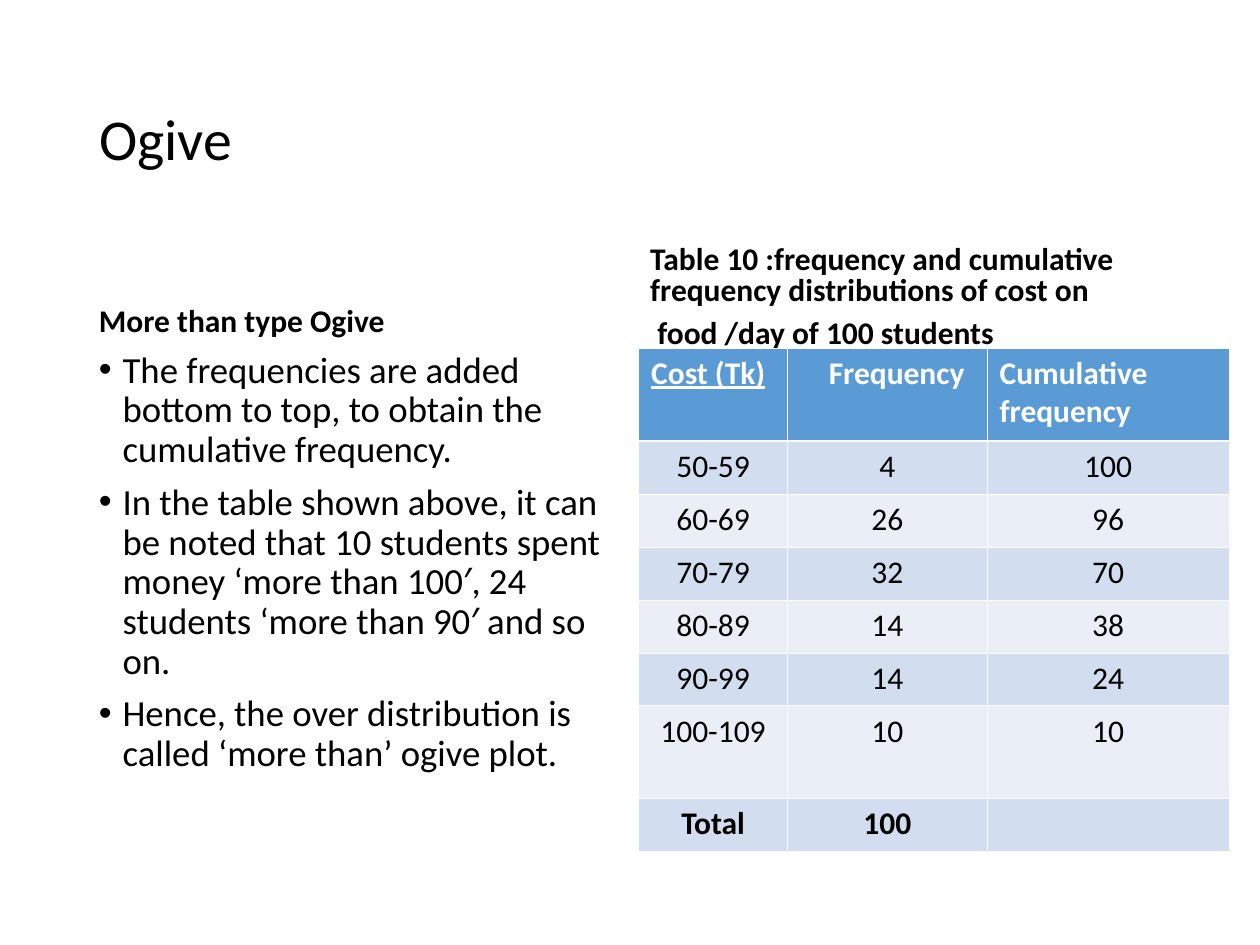
"""Build the slide on the more-than type ogive with its frequency table."""
from collections import namedtuple
from lxml.etree import SubElement
from pptx import Presentation
from pptx.dml.color import RGBColor as RGB
from pptx.enum.text import MSO_ANCHOR as Anchor, MSO_AUTO_SIZE as AutoSize, PP_ALIGN as Align
from pptx.oxml.ns import qn
from pptx.util import Pt

Theme = namedtuple("Theme", "font ink white header band light title body label")
theme = Theme("Calibri", RGB(0, 0, 0), RGB(255, 255, 255), RGB(0x5B, 0x9B, 0xD5),
              RGB(0xD2, 0xDE, 0xEF), RGB(0xEA, 0xEF, 0xF7), Pt(33), Pt(21), Pt(18))


def style(paragraph, size, bold=False, color=theme.ink):
    font = paragraph.font
    font.name, font.size, font.bold = theme.font, size, bold
    font.color.rgb = color


def add_text(lines, box, size, anchor, bold, spacing, bulleted):
    frame = slide.shapes.add_textbox(*map(Pt, box)).text_frame
    frame.word_wrap = True
    frame.auto_size = AutoSize.NONE
    frame.vertical_anchor = anchor
    frame.text = "\n".join(lines)
    for paragraph in frame.paragraphs:
        paragraph.line_spacing = spacing
        paragraph.space_before = Pt(7.5)
        style(paragraph, size, bold)
        if bulleted:
            props = paragraph._p.get_or_add_pPr()
            props.set("marL", str(Pt(13.5)))
            props.set("indent", str(Pt(-13.5)))
            bullet_font = props.makeelement(qn("a:buFont"), {"typeface": "Arial"})
            bullet = props.makeelement(qn("a:buChar"), {"char": "•"})
            defaults = props.find(qn("a:defRPr"))
            defaults.addprevious(bullet_font)
            defaults.addprevious(bullet)


presentation = Presentation()
presentation.slide_width, presentation.slide_height = Pt(720), Pt(540)
slide = presentation.slides.add_slide(presentation.slide_layouts[5])

title = slide.shapes.title
title.left, title.top, title.width, title.height = map(Pt, (49.5, 28.75, 621, 104.4))
title.text_frame.text = "Ogive"
title.text_frame.auto_size = AutoSize.NONE
title.text_frame.vertical_anchor = Anchor.MIDDLE
heading = title.text_frame.paragraphs[0]
heading.alignment = Align.LEFT
heading.line_spacing = 0.9
style(heading, theme.title)

explanation = [
    "The frequencies are added bottom to top, to obtain the cumulative frequency.",
    "In the table shown above, it can be noted that 10 students spent money "
    "‘more than 100′, 24 students ‘more than 90′ and so on.",
    "Hence, the over distribution is called ‘more than’ ogive plot.",
]
caption = [
    "Table 10 :frequency and cumulative frequency distributions of cost on",
    " food /day of 100 students",
]
add_text(["More than type Ogive"], (49.5, 132.5, 304.6, 64.8), theme.label,
         Anchor.BOTTOM, True, 0.9, False)
add_text(explanation, (49.5, 197.3, 304.6, 290.2), theme.body, Anchor.TOP, False, 0.9, True)
add_text(caption, (364.5, 135.4, 316, 68.4), theme.label, Anchor.BOTTOM, True, 0.8, False)

rows = [
    ("Cost (Tk)", "Frequency", "Cumulative frequency"),
    ("50-59", "4", "100"),
    ("60-69", "26", "96"),
    ("70-79", "32", "70"),
    ("80-89", "14", "38"),
    ("90-99", "14", "24"),
    ("100-109", "10", "10"),
    ("Total", "100", ""),
]
column_widths = [85.2, 114, 138.4]
row_heights = [53, 30.3, 30.3, 30.3, 30.3, 30.3, 53, 30.3]
frequencies = slide.shapes.add_table(
    len(rows), len(column_widths), Pt(364.9), Pt(199),
    Pt(sum(column_widths)), Pt(sum(row_heights))).table
for column, width in zip(frequencies.columns, column_widths):
    column.width = Pt(width)
for row, height in zip(frequencies.rows, row_heights):
    row.height = Pt(height)

for r, values in enumerate(rows):
    is_header = r == 0
    for c, value in enumerate(values):
        cell = frequencies.cell(r, c)
        cell.text = value
        entry = cell.text_frame.paragraphs[0]
        entry.alignment = Align.LEFT if is_header else Align.CENTER
        style(entry, theme.label, is_header or r == len(rows) - 1,
              theme.white if is_header else theme.ink)
        cell_props = cell._tc.get_or_add_tcPr()
        for side in ("lnL", "lnR", "lnT", "lnB"):
            under_header = (r, side) in ((0, "lnB"), (1, "lnT"))
            border = SubElement(cell_props, qn("a:" + side),
                                w=str(Pt(1.47 if under_header else 0.45)))
            border_fill = SubElement(border, qn("a:solidFill"))
            SubElement(border_fill, qn("a:srgbClr"), val=str(theme.white))
        cell.fill.solid()
        cell.fill.fore_color.rgb = theme.header if is_header else (theme.light, theme.band)[r % 2]

frequencies.cell(0, 0).text_frame.paragraphs[0].font.underline = True
frequencies.cell(0, 1).margin_left = Pt(23.5)

presentation.save("out.pptx")
